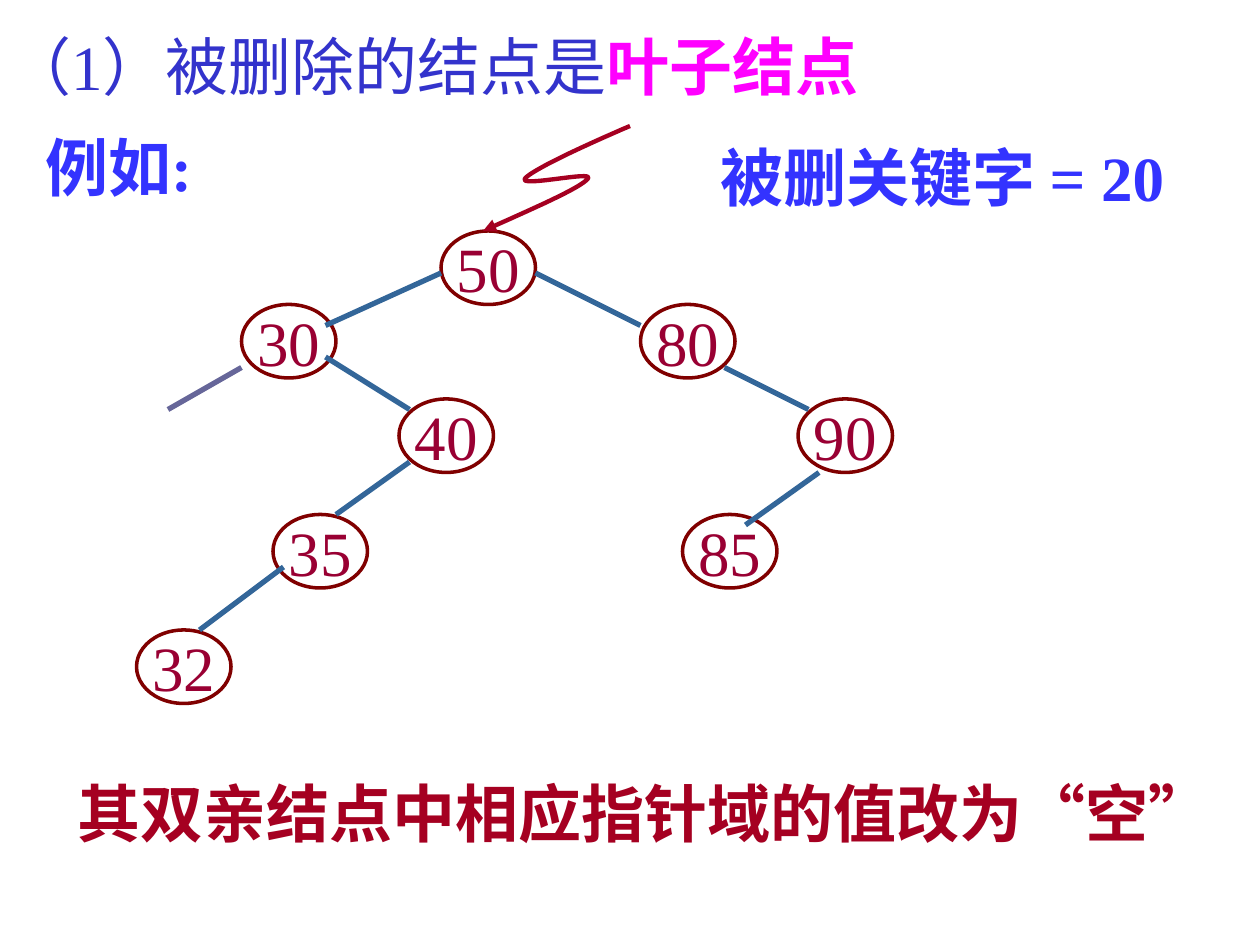
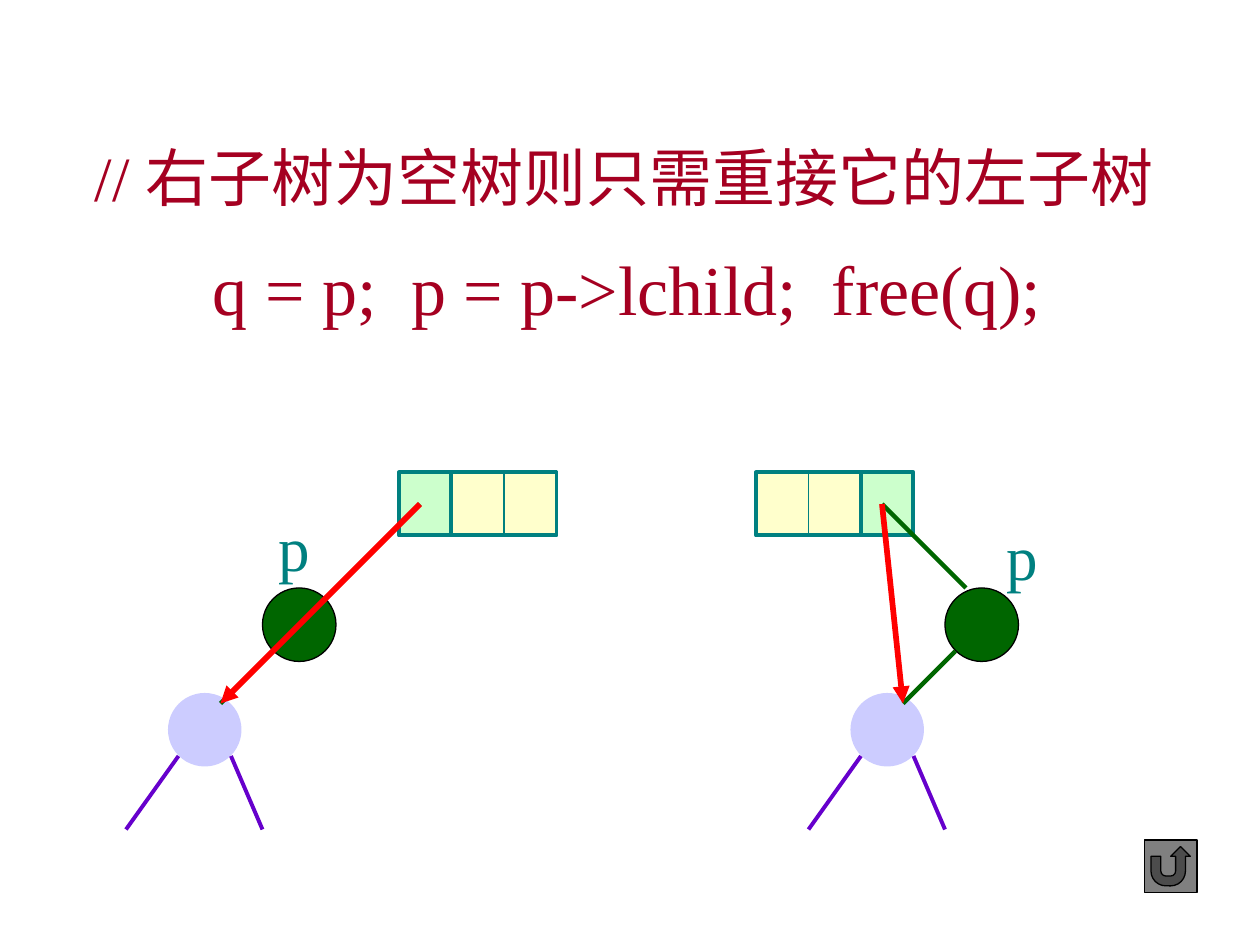
from lxml import etree
from pptx import Presentation
from pptx.dml.color import RGBColor
from pptx.enum.shapes import MSO_CONNECTOR, MSO_SHAPE
from pptx.enum.text import MSO_ANCHOR, MSO_AUTO_SIZE, PP_ALIGN
from pptx.oxml.ns import qn
from pptx.util import Cm, Pt

STRAIGHT = MSO_CONNECTOR.STRAIGHT
OVAL, RECT = MSO_SHAPE.OVAL, MSO_SHAPE.RECTANGLE
RETURN_BUTTON = MSO_SHAPE.ACTION_BUTTON_RETURN
TOP_SIDE, BOTTOM_SIDE = 0, 2

FONT = "Times New Roman"
WHITE = RGBColor(0xFF, 0xFF, 0xFF)
BLACK = RGBColor(0x00, 0x00, 0x00)
GREY = RGBColor(0x80, 0x80, 0x80)
CRIMSON = RGBColor(0xA5, 0x00, 0x21)
INDIGO = RGBColor(0x33, 0x33, 0xCC)
BLUE = RGBColor(0x33, 0x33, 0xFF)
MAGENTA = RGBColor(0xFF, 0x00, 0xFF)
KEY_RED = RGBColor(0x99, 0x00, 0x33)
NODE_RED = RGBColor(0x80, 0x00, 0x00)
EDGE_BLUE = RGBColor(0x33, 0x66, 0x99)
EDGE_GREY = RGBColor(0x66, 0x66, 0x99)
TEAL = RGBColor(0x00, 0x80, 0x80)
MINT = RGBColor(0xCC, 0xFF, 0xCC)
CREAM = RGBColor(0xFF, 0xFF, 0xCC)
GREEN = RGBColor(0x00, 0x66, 0x00)
LILAC = RGBColor(0xCC, 0xCC, 0xFF)
VIOLET = RGBColor(0x66, 0x00, 0xCC)
RED = RGBColor(0xFF, 0x00, 0x00)

# Diagrams sit on a grid of twelve steps to 2.54 cm
NODE_WIDTH, NODE_HEIGHT = 9, 7
DISC = 7
FIELD_WIDTH, RECORD_HEIGHT = 5, 6

# Key, left and top, relative to the tree's box
TREE_NODES = [("50", 29, 0), ("30", 10, 7), ("80", 48, 7), ("90", 63, 16),
              ("85", 52, 27), ("40", 25, 16), ("35", 13, 27), ("32", 0, 38)]
TREE_EDGES = [(29, 4, 18, 9), (38, 4, 48, 9), (18, 12, 26, 17),
              (26, 22, 19, 27), (56, 13, 64, 17), (65, 23, 58, 28),
              (14, 32, 6, 38)]
REMOVED_EDGE = (10, 13, 3, 17)

# Bézier pieces of the wavy pointer, relative to its box
WAVE = [((14, 0), (9.33, 2), (4.67, 4.2), (4, 5)),
        ((4, 5), (3.33, 5.9), (10.67, 4.2), (10, 5)),
        ((10, 5), (9.33, 5.9), (4.67, 7.9), (0, 10))]
WAVE_STEPS = 16


def grid(steps):
    return Cm(2.54 * steps / 12)


def write(frame, *parts, size=36, color=CRIMSON, bold=False, align=None,
          spacing=None):
    """Each part is a text, or a (text, colour, bold) tuple."""
    frame.word_wrap = False
    paragraph = frame.paragraphs[0]
    paragraph.alignment = align
    paragraph.line_spacing = spacing
    for part in parts:
        text, tint, weight = (part, color, bold) if isinstance(part, str) else part
        run = paragraph.add_run()
        run.text = text
        run.font.name, run.font.size = FONT, Pt(size)
        run.font.color.rgb, run.font.bold = tint, weight


def text_box(slide, left, top, width, height, *parts, **text_format):
    frame = slide.shapes.add_textbox(left, top, width, height).text_frame
    frame.auto_size = MSO_AUTO_SIZE.SHAPE_TO_FIT_TEXT
    write(frame, *parts, **text_format)


def paint(shape, fill=None, line=None, weight=0.75):
    shape.shadow.inherit = False
    if fill is None:
        shape.fill.background()
    else:
        shape.fill.solid()
        shape.fill.fore_color.rgb = fill
    if line is None:
        shape.line.fill.background()
    else:
        shape.line.color.rgb, shape.line.width = line, Pt(weight)


def block(slide, kind, left, top, width, height, **look):
    shape = slide.shapes.add_shape(kind, grid(left), grid(top),
                                   grid(width), grid(height))
    paint(shape, **look)
    return shape


def add_arrowhead(shape):
    outline = shape._element.spPr.find(qn("a:ln"))
    etree.SubElement(outline, qn("a:tailEnd"), type="triangle")


def link(slide, left, top, ends, color, weight, arrow=False):
    x1, y1, x2, y2 = ends
    connector = slide.shapes.add_connector(
        STRAIGHT, grid(left + x1), grid(top + y1), grid(left + x2), grid(top + y2))
    connector.line.color.rgb, connector.line.width = color, Pt(weight)
    if arrow:
        add_arrowhead(connector)
    etree.SubElement(connector._element.spPr, qn("a:effectLst"))
    return connector


def search_tree(slide, left, top):
    for key, x, y in TREE_NODES:
        node = block(slide, OVAL, left + x, top + y, NODE_WIDTH, NODE_HEIGHT,
                     line=NODE_RED, weight=2)
        node.text_frame.vertical_anchor = MSO_ANCHOR.MIDDLE
        write(node.text_frame, key, color=KEY_RED, align=PP_ALIGN.CENTER)
    for edge in TREE_EDGES:
        link(slide, left, top, edge, EDGE_BLUE, 3)
    link(slide, left, top, REMOVED_EDGE, EDGE_GREY, 3)


def wavy_pointer(slide, left, top):
    def point(piece, t):
        weights = ((1 - t) ** 3, 3 * t * (1 - t) ** 2, 3 * t ** 2 * (1 - t), t ** 3)
        x, y = (sum(w * p[axis] for w, p in zip(weights, piece)) for axis in (0, 1))
        return grid(left + x), grid(top + y)

    builder = slide.shapes.build_freeform(*point(WAVE[0], 0))
    builder.add_line_segments(
        [point(piece, step / WAVE_STEPS)
         for piece in WAVE for step in range(1, WAVE_STEPS + 1)], close=False)
    wave = builder.convert_to_shape()
    paint(wave, line=CRIMSON, weight=2.5)
    add_arrowhead(wave)


def parent_record(slide, left, top, link_first):
    link_left, data_left = (0, FIELD_WIDTH) if link_first else (2 * FIELD_WIDTH, 0)
    block(slide, RECT, left + link_left, top, FIELD_WIDTH, RECORD_HEIGHT,
          fill=MINT, line=TEAL, weight=2.25)
    data = block(slide, RECT, left + data_left, top, 2 * FIELD_WIDTH, RECORD_HEIGHT,
                 fill=CREAM, line=TEAL, weight=2.25)
    middle = data_left + FIELD_WIDTH
    divider = link(slide, left, top, (middle, 0, middle, RECORD_HEIGHT), TEAL, 0.75)
    divider.begin_connect(data, TOP_SIDE)
    divider.end_connect(data, BOTTOM_SIDE)


def relinking(slide, left, top, record_left, link_first, pointer, old_end, label):
    """Parent record, deleted node p and the left subtree moved up."""
    parent_record(slide, left + record_left, top, link_first)
    block(slide, OVAL, left + 13, top + 11, DISC, DISC, fill=GREEN, line=BLACK)

    # Subtree with its two branches
    block(slide, OVAL, left + 4, top + 21, DISC, DISC, fill=LILAC)
    for branch in ((5, 27, 0, 34), (10, 27, 13, 34)):
        link(slide, left, top, branch, VIOLET, 2.25)

    # Old links in green, new link in red
    subtree = (9, 22)
    for old_link in ((14, 17, *subtree), (*pointer, *old_end)):
        link(slide, left, top, old_link, GREEN, 2.5)
    link(slide, left, top, (*pointer, *subtree), RED, 3.25, arrow=True)

    label_x, label_y = label
    text_box(slide, grid(left + label_x), grid(top + label_y),
             grid(5.4), grid(8.4), "p", color=TEAL)


def leaf_slide(slide):
    line_height = Cm(1.78)
    text_box(slide, Cm(-0.08), Cm(0.43), Cm(18.26), line_height,
             "（1）被删除的结点是", ("叶子结点", MAGENTA, True), color=INDIGO)
    text_box(slide, Cm(0.66), Cm(2.46), Cm(3.76), line_height,
             "例如:", color=BLUE, bold=True)
    text_box(slide, Cm(14.27), Cm(2.67), Cm(10.11), line_height,
             "被删关键字 = 20", color=BLUE, bold=True)
    search_tree(slide, 13, 22)
    wavy_pointer(slide, 46, 12)
    text_box(slide, Cm(1.32), Cm(15.49), Cm(23.37), line_height,
             "其双亲结点中相应指针域的值改为“空”", bold=True)


def relink_slide(slide):
    text_box(slide, Cm(1.66), Cm(1.9), Cm(22.16), Cm(2.54),
             "// 右子树为空树则只需重接它的左子树", spacing=1.5)
    text_box(slide, Cm(4.04), Cm(4.83), Cm(17.22), Cm(1.96),
             "q = p;  p = p->lchild;  free(q);", size=40)
    relinking(slide, 12, 45, record_left=26, link_first=True,
              pointer=(28, 3), old_end=(19, 12), label=(13.3, 2.8))
    relinking(slide, 77, 45, record_left=-5, link_first=False,
              pointer=(7, 3), old_end=(15, 11), label=(17.7, 3.7))
    block(slide, RETURN_BUTTON, 109, 80, 5, 5, fill=GREY, line=BLACK)


def main():
    deck = Presentation()
    deck.slide_width, deck.slide_height = Cm(25.4), Cm(19.05)
    blank = deck.slide_layouts[6]
    for fill_slide in (leaf_slide, relink_slide):
        slide = deck.slides.add_slide(blank)
        slide.background.fill.solid()
        slide.background.fill.fore_color.rgb = WHITE
        fill_slide(slide)
    deck.save("out.pptx")


if __name__ == "__main__":
    main()
